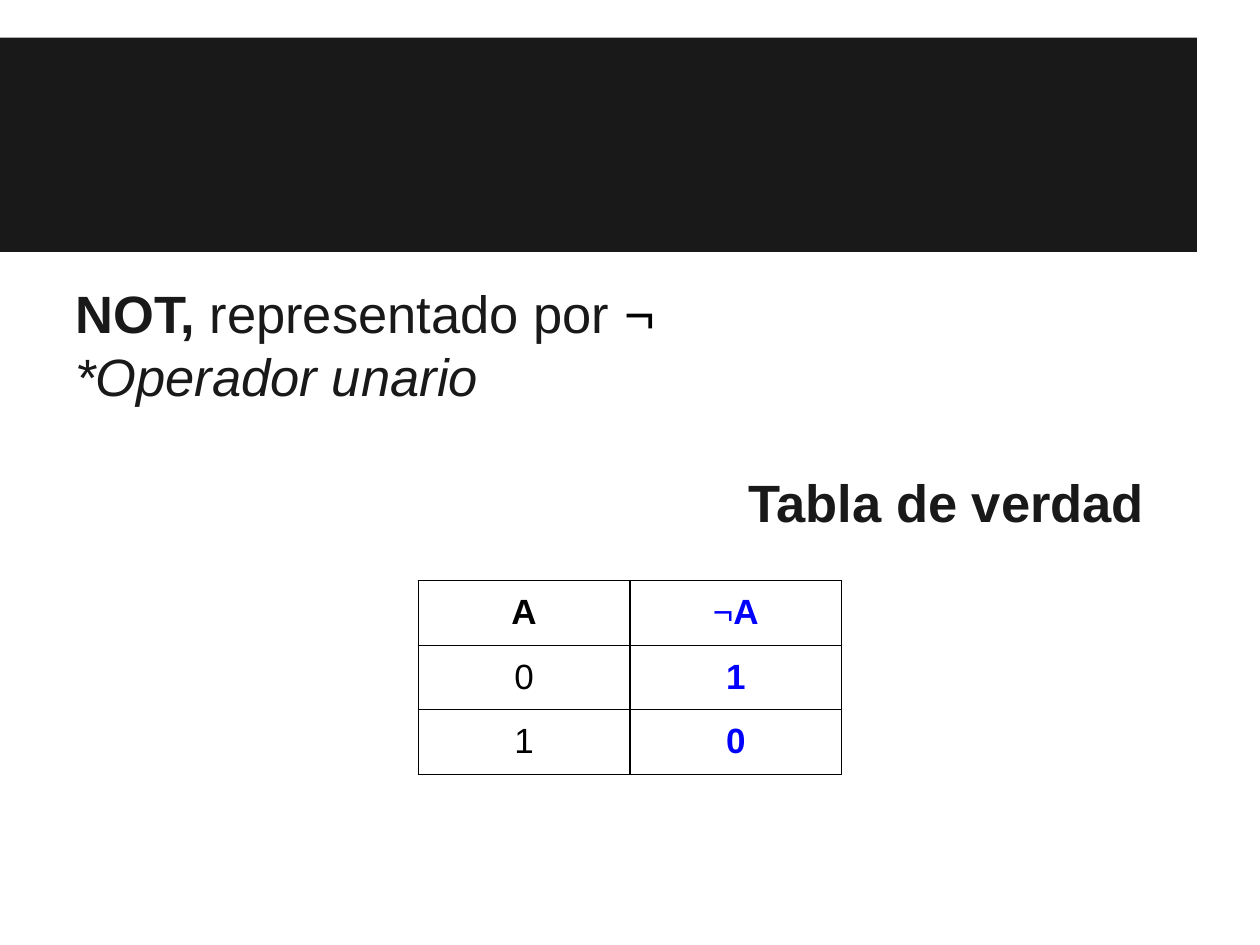
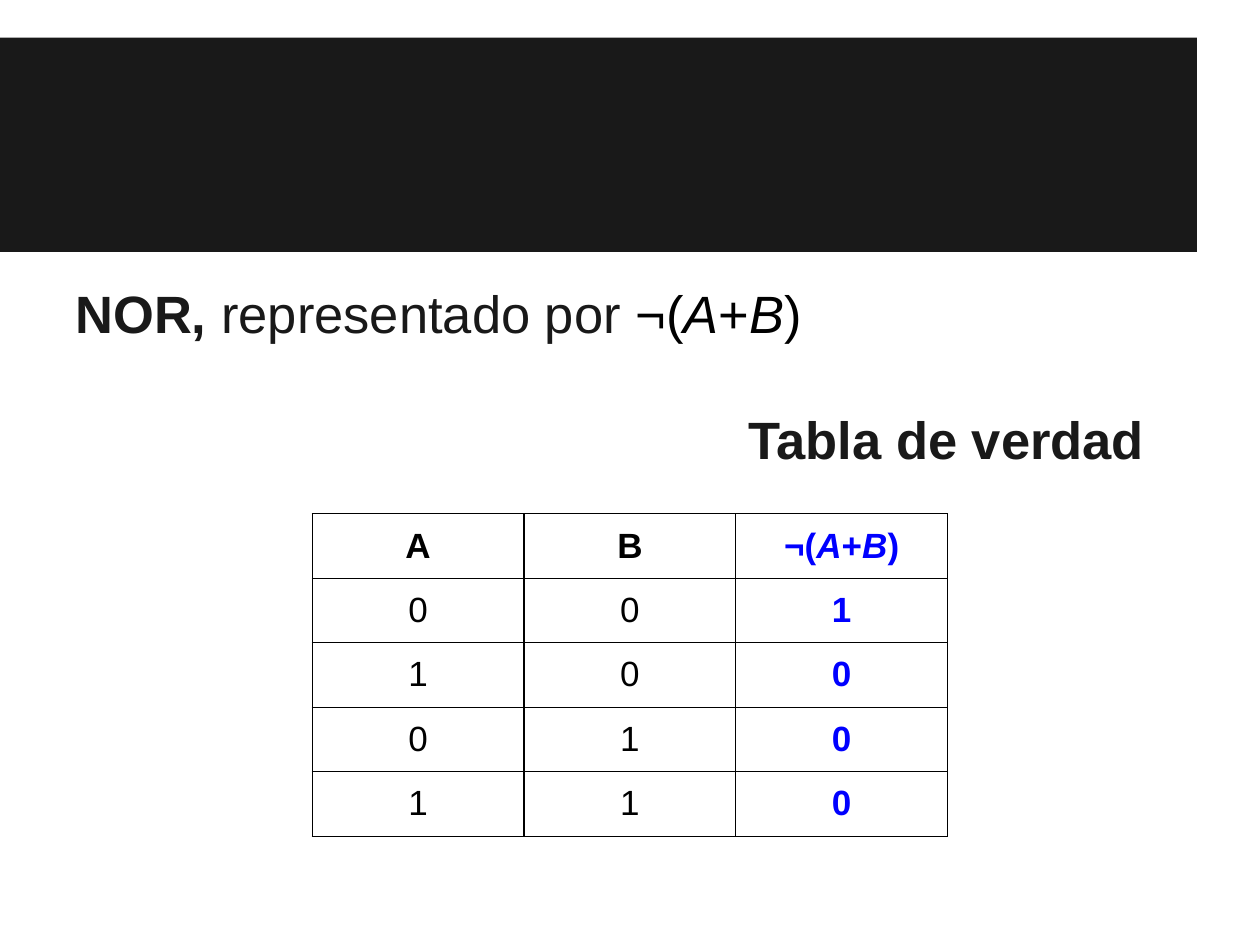
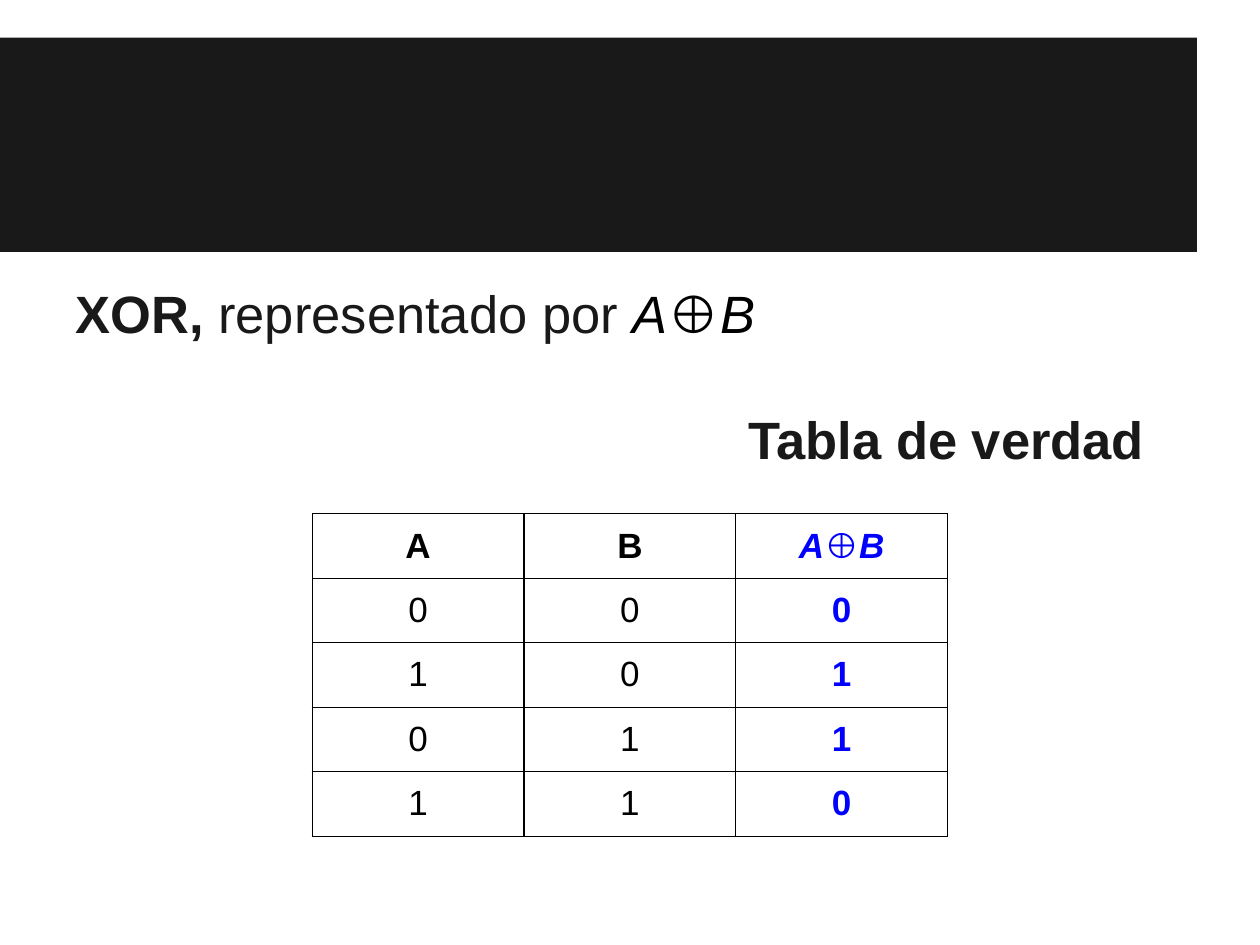
"""Build three slides with the truth tables of the NOT, NOR and XOR operators."""
import lxml.etree
import pptx
import pptx.dml.color
import pptx.enum.shapes
import pptx.enum.text
import pptx.oxml.ns
import pptx.util

Cm = pptx.util.Cm
Pt = pptx.util.Pt
qn = pptx.oxml.ns.qn

FONT = "Arial"
DARK = "191919"
BLACK = "000000"
BLUE = "0000FF"
COLUMN_WIDTH = 4.27
ROW_HEIGHT = 1.3
SLIDE_WIDTH = 25.4
INSET = Cm(0.25)


def colour(code):
    """Turn a hex string into a colour."""
    return pptx.dml.color.RGBColor.from_string(code)


def write_spans(para, spans, size):
    """Add runs given as (text, style, colour), where style may hold b and i."""
    for text, style, code in spans:
        span = para.add_run()
        span.text = text
        span.font.name = FONT
        span.font.size = Pt(size)
        span.font.bold = "b" in style
        span.font.italic = "i" in style
        span.font.color.rgb = colour(code)


operators = [
    {
        "name": "NOT, ",
        "symbol": [("¬", "")],
        "remark": "*Operador unario",
        "inputs": ["A"],
        "heading": [("¬", ""), ("A", "b")],
        "rows": ["01", "10"],
        "table_top": 11.71,
    },
    {
        "name": "NOR, ",
        "symbol": [("¬(", ""), ("A", "i"), ("+", ""), ("B", "i"), (")", "")],
        "inputs": ["A", "B"],
        "heading": [("¬(", "b"), ("A", "bi"), ("+", "b"), ("B", "bi"), (")", "b")],
        "rows": ["001", "100", "010", "110"],
        "table_top": 10.36,
    },
    {
        "name": "XOR, ",
        "symbol": [("A", "i"), ("⊕", ""), ("B", "i")],
        "inputs": ["A", "B"],
        "heading": [("A", "bi"), ("⊕", ""), ("B", "bi")],
        "rows": ["000", "101", "011", "110"],
        "table_top": 10.36,
    },
]

deck = pptx.Presentation()
deck.slide_width = Cm(SLIDE_WIDTH)
deck.slide_height = Cm(19.05)
layout = deck.slide_layouts[1]
pages = [deck.slides.add_slide(layout) for operator in operators]

band = pages[0].shapes.add_shape(
    pptx.enum.shapes.MSO_SHAPE.RECTANGLE, 0, Cm(0.76), Cm(24.13), Cm(4.32)
)
band.shadow.inherit = False
band.fill.solid()
band.fill.fore_color.rgb = colour(DARK)
band.line.fill.background()
layout.shapes.element.append(band.element)

for page, operator in zip(pages, operators):
    title = page.shapes.title.element
    title.getparent().remove(title)

    box = page.placeholders[1]
    box.left, box.top, box.width, box.height = Cm(1.27), Cm(5.41), Cm(22.86), Cm(12.83)
    frame = box.text_frame
    frame.word_wrap = True
    frame.auto_size = pptx.enum.text.MSO_AUTO_SIZE.NONE
    frame.vertical_anchor = pptx.enum.text.MSO_ANCHOR.TOP
    frame.margin_left = frame.margin_right = INSET
    frame.margin_top = frame.margin_bottom = INSET

    lines = [
        [(operator["name"], "b", DARK), ("representado por ", "", DARK)]
        + [(text, style, BLACK) for text, style in operator["symbol"]]
    ]
    if "remark" in operator:
        lines.append([(operator["remark"], "i", DARK)])
    lines.append([("Tabla de verdad", "b", DARK)])

    for number, spans in enumerate(lines):
        para = frame.add_paragraph() if number else frame.paragraphs[0]
        is_caption = number == len(lines) - 1
        para.line_spacing = Pt(36)
        para.space_before = Pt(36 if is_caption else 0)
        properties = para._p.get_or_add_pPr()
        properties.set("marL", str(Cm(13.57) if is_caption else 0))
        properties.set("indent", "0")
        lxml.etree.SubElement(properties, qn("a:buNone"))
        write_spans(para, spans, 30)

    header = [[(name, "b", BLACK)] for name in operator["inputs"]]
    header.append([(text, style, BLUE) for text, style in operator["heading"]])
    grid = [header]
    for values in operator["rows"]:
        grid.append([[(value, "", BLACK)] for value in values[:-1]] + [[(values[-1], "b", BLUE)]])

    width = COLUMN_WIDTH * len(header)
    table = page.shapes.add_table(
        len(grid), len(header),
        Cm((SLIDE_WIDTH - width) / 2), Cm(operator["table_top"]),
        Cm(width), Cm(ROW_HEIGHT * len(grid)),
    ).table
    table.first_row = False
    table.horz_banding = False
    for column in table.columns:
        column.width = Cm(COLUMN_WIDTH)
    for row, contents in zip(table.rows, grid):
        row.height = Cm(ROW_HEIGHT)
        for cell, spans in zip(row.cells, contents):
            cell.fill.background()
            cell.margin_left = cell.margin_right = INSET
            cell.margin_top = cell.margin_bottom = INSET
            para = cell.text_frame.paragraphs[0]
            para.alignment = pptx.enum.text.PP_ALIGN.CENTER
            write_spans(para, spans, 20)
            properties = cell._tc.get_or_add_tcPr()
            for position, side in enumerate(["a:lnL", "a:lnR", "a:lnT", "a:lnB"]):
                border = lxml.etree.Element(qn(side), w=str(Pt(0.75)))
                fill = lxml.etree.SubElement(border, qn("a:solidFill"))
                lxml.etree.SubElement(fill, qn("a:srgbClr"), val=BLACK)
                properties.insert(position, border)

deck.save("out.pptx")
